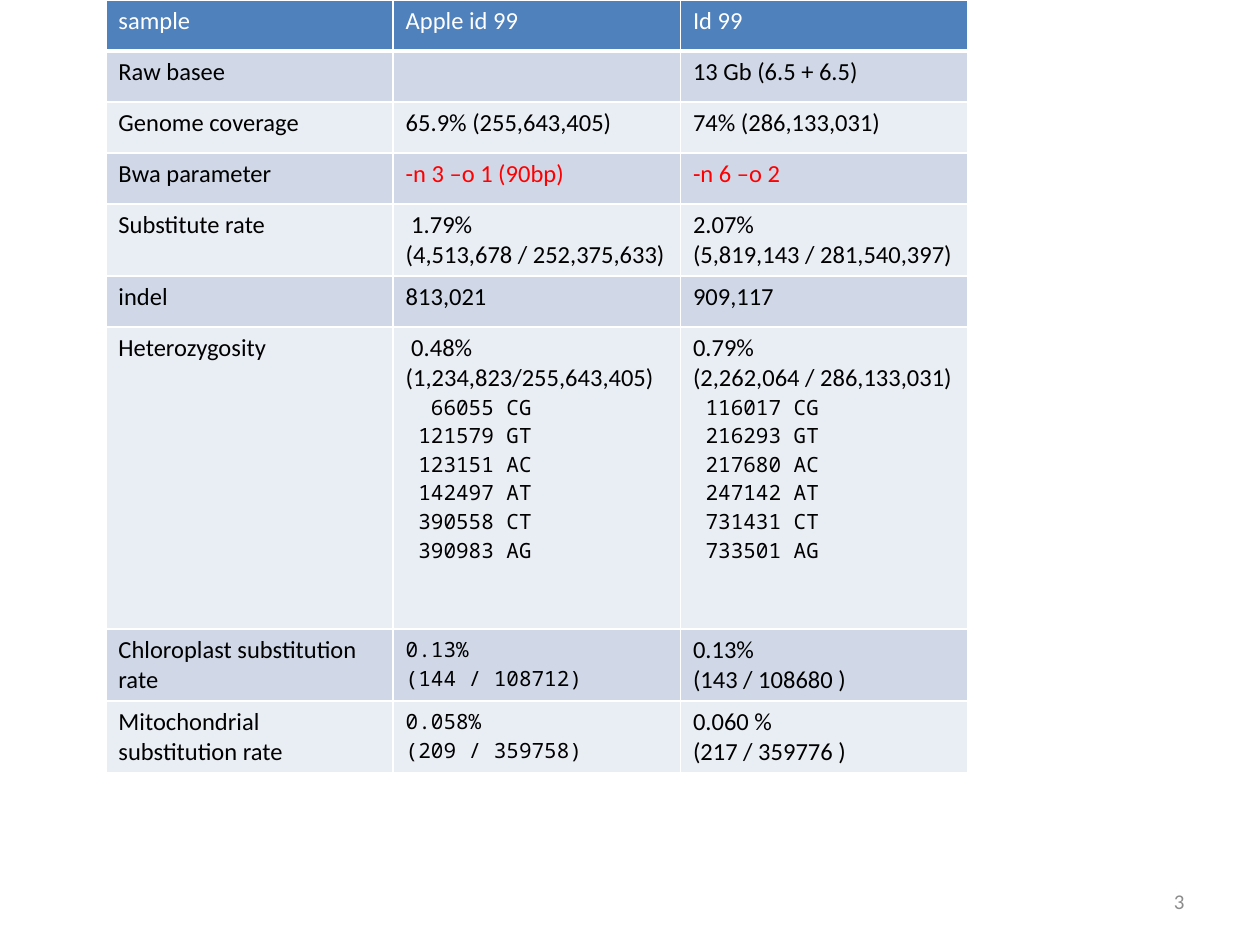
from lxml import etree
from pptx import Presentation
from pptx import util as u
from pptx.dml.color import RGBColor
from pptx.enum import text
from pptx.oxml import ns

BODY = {"name": "Calibri", "size": u.Pt(14), "color": "000000"}
HEAD = {**BODY, "color": "FFFFFF"}
ALERT = {**BODY, "color": "FF0000"}
MONO = {**BODY, "name": "Noto Sans Mono", "size": u.Pt(12)}
NUMBER = {**BODY, "size": u.Pt(12), "color": "8C8C8C"}

HEADER_FILL = "4F81BD"
BAND_FILLS = ("D0D8E8", "E9EDF4")
COLUMN_WIDTH = 2.28
SINGLE, DOUBLE, TALL = 0.405, 0.57, 2.4
BASE_PAIRS = ("CG", "GT", "AC", "AT", "CT", "AG")


def color(value):
    return RGBColor.from_string(value)


def lines(style, *texts):
    return [(line, style) for line in texts]


def pair_counts(*counts):
    return lines(MONO, *(f"{count:>7} {pair}" for count, pair in zip(counts, BASE_PAIRS)))


ROWS = [
    (SINGLE, lines(HEAD, "sample"), lines(HEAD, "Apple id 99"), lines(HEAD, "Id 99")),
    (SINGLE, lines(BODY, "Raw basee"), [], lines(BODY, "13 Gb (6.5 + 6.5)")),
    (SINGLE, lines(BODY, "Genome coverage"),
     lines(BODY, "65.9% (255,643,405)"), lines(BODY, "74% (286,133,031)")),
    (SINGLE, lines(BODY, "Bwa parameter"),
     lines(ALERT, "-n 3 –o 1 (90bp)"), lines(ALERT, "-n 6 –o 2")),
    (DOUBLE, lines(BODY, "Substitute rate"),
     lines(BODY, " 1.79%", "(4,513,678 / 252,375,633)"),
     lines(BODY, "2.07%", "(5,819,143 / 281,540,397)")),
    (SINGLE, lines(BODY, "indel"), lines(BODY, "813,021"), lines(BODY, "909,117")),
    (TALL, lines(BODY, "Heterozygosity"),
     lines(BODY, " 0.48% (1,234,823/255,643,405)")
     + pair_counts(66055, 121579, 123151, 142497, 390558, 390983),
     lines(BODY, "0.79%", "(2,262,064 / 286,133,031)")
     + pair_counts(116017, 216293, 217680, 247142, 731431, 733501)),
    (DOUBLE, lines(BODY, "Chloroplast substitution rate"),
     lines(MONO, "0.13%", "(144 / 108712)"), lines(BODY, "0.13%", "(143 / 108680 )")),
    (DOUBLE, lines(BODY, "Mitochondrial substitution rate"),
     lines(MONO, "0.058%", "(209 / 359758)"), lines(BODY, "0.060 %", "(217 / 359776 )")),
]


def write_lines(frame, content):
    for index, (line, style) in enumerate(content):
        para = frame.add_paragraph() if index else frame.paragraphs[0]
        span = para.add_run()
        span.text = line
        for name, value in style.items():
            if name == "color":
                span.font.color.rgb = color(value)
            else:
                setattr(span.font, name, value)


def add_borders(cell, bottom):
    properties = cell._tc.get_or_add_tcPr()
    for side, width in {"L": 1, "R": 1, "T": 1, "B": bottom}.items():
        line = etree.SubElement(properties, ns.qn(f"a:ln{side}"), w=str(u.Pt(width)))
        fill = etree.SubElement(line, ns.qn("a:solidFill"))
        etree.SubElement(fill, ns.qn("a:srgbClr"), val="FFFFFF")


def fill_cell(cell, content, fill, bottom):
    add_borders(cell, bottom)
    cell.fill.solid()
    cell.fill.fore_color.rgb = color(fill)
    write_lines(cell.text_frame, content)


def add_sample_table(page):
    columns = len(ROWS[0]) - 1
    height = sum(row[0] for row in ROWS)
    frame = page.shapes.add_table(len(ROWS), columns, u.Inches(0.84), u.Inches(0),
                                  u.Inches(COLUMN_WIDTH * columns), u.Inches(height))
    table = frame.table
    for column in table.columns:
        column.width = u.Inches(COLUMN_WIDTH)
    for index, (row_height, *contents) in enumerate(ROWS):
        table.rows[index].height = u.Inches(row_height)
        fill = BAND_FILLS[(index - 1) % 2] if index else HEADER_FILL
        for cell, content in zip(table.rows[index].cells, contents):
            fill_cell(cell, content, fill, 1 if index else 3)


def add_page_number(page):
    box = page.shapes.add_textbox(u.Inches(7.17), u.Inches(6.95),
                                  u.Inches(2.33), u.Inches(0.4))
    frame = box.text_frame
    settings = {"word_wrap": True, "vertical_anchor": text.MSO_ANCHOR.MIDDLE}
    for name, value in settings.items():
        setattr(frame, name, value)
    write_lines(frame, lines(NUMBER, "3"))
    frame.paragraphs[0].alignment = text.PP_ALIGN.RIGHT


def main():
    deck = Presentation()
    deck.slide_width, deck.slide_height = u.Inches(10), u.Inches(7.5)
    page = deck.slides.add_slide(deck.slide_layouts[6])
    add_page_number(page)
    add_sample_table(page)
    deck.save("out.pptx")


if __name__ == "__main__":
    main()
